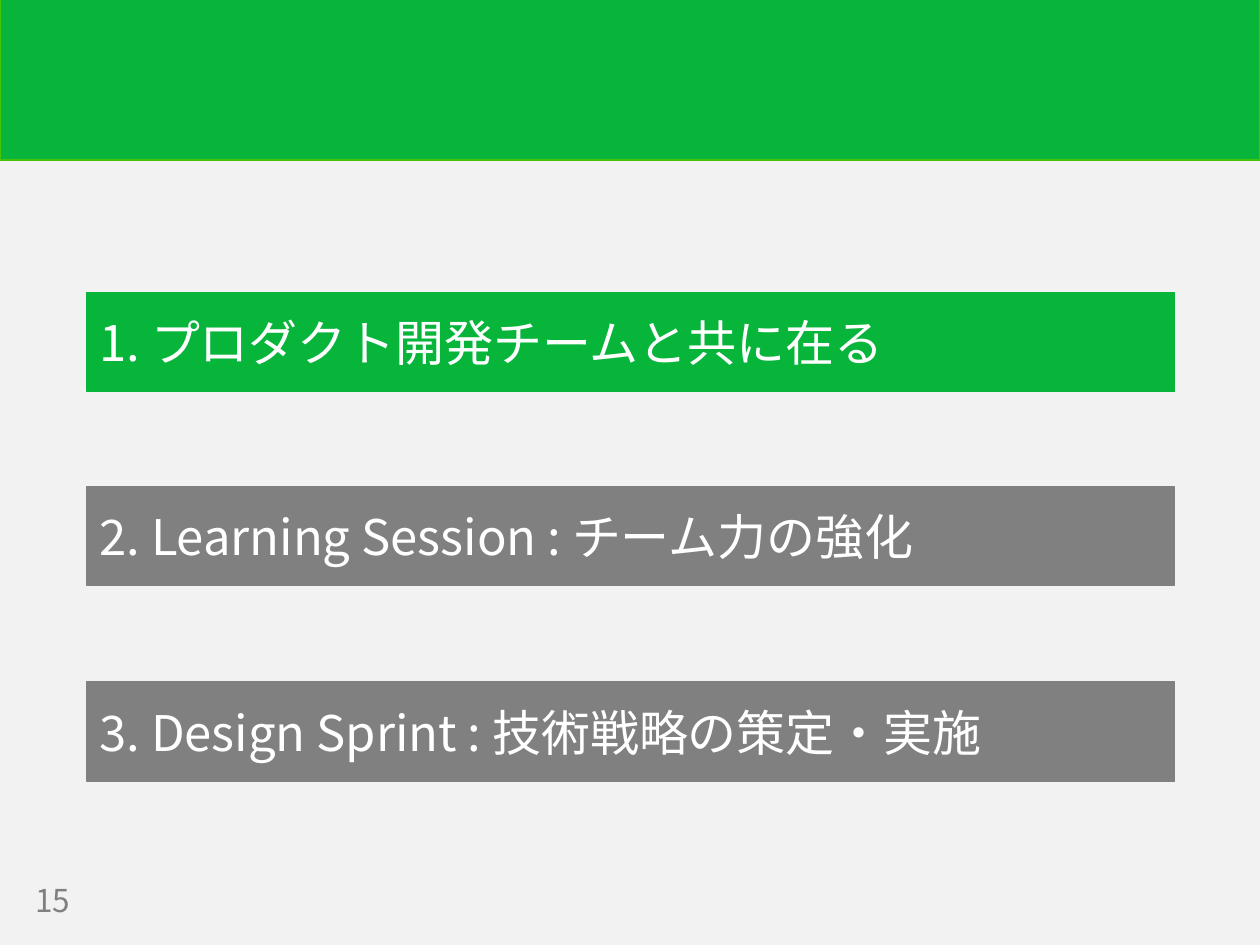
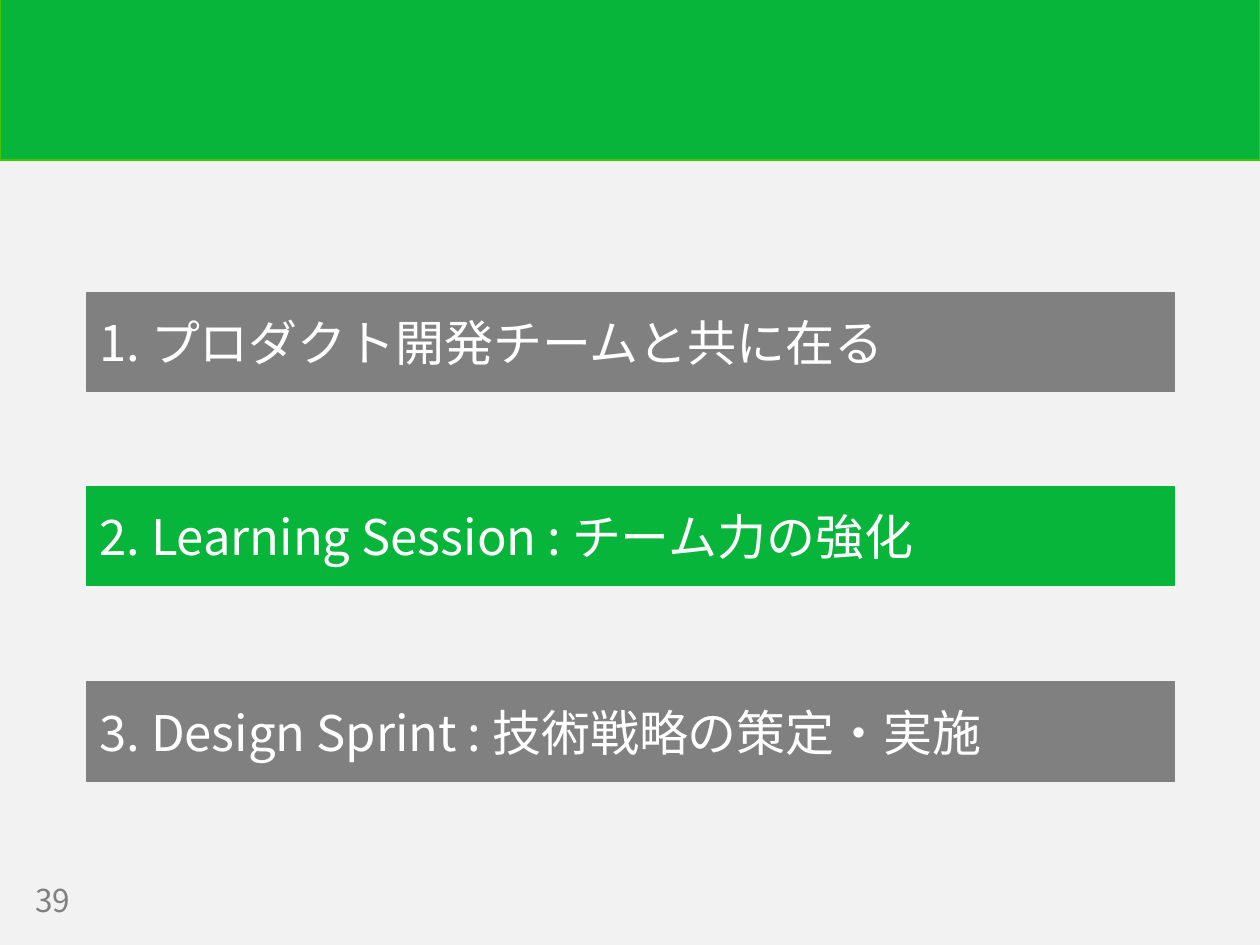
from pptx import Presentation
from pptx import util as u
from pptx.dml.color import RGBColor
from pptx.enum import shapes, text
from pptx.oxml import ns
from lxml import etree

PX = u.Inches(1) // 100
FONT = "Noto Sans CJK JP"
COLORS = {
    "back": "F2F2F2",
    "green": "07B53B",
    "edge": "44C404",
    "grey": "808080",
    "white": "FFFFFF",
}
TOPICS = [
    "1. プロダクト開発チームと共に在る",
    "2. Learning Session : チーム力の強化",
    "3. Design Sprint : 技術戦略の策定・実施",
]
TOPIC_TOPS = [232 + round(154.5 * i) for i in range(len(TOPICS))]
AGENDAS = [(15, 0), (39, 1)]


class Deck:
    """Holds the style and the current slide, and draws each kind of element."""

    def __init__(self):
        self.prs = Presentation()
        self.prs.slide_width, self.prs.slide_height = 1000 * PX, 750 * PX
        self.s = None

    def new_slide(self, number):
        self.s = self.prs.slides.add_slide(self.prs.slide_layouts[6])
        fill = self.s.background.fill
        fill.solid()
        fill.fore_color.rgb = self.color("back")
        self.bar(0, -1, 1000, 128, "green", "edge", 1)
        self.page_number(number)

    def color(self, name):
        return RGBColor.from_string(COLORS[name])

    def bar(self, x, y, w, h, fill, line, width=0.75):
        sp = self.s.shapes.add_shape(
            shapes.MSO_SHAPE.RECTANGLE, x * PX, y * PX, w * PX, h * PX)
        sp.shadow.inherit = False
        sp.fill.solid()
        sp.fill.fore_color.rgb = self.color(fill)
        sp.line.color.rgb = self.color(line)
        sp.line.width = u.Pt(width)
        return sp

    def label(self, sp, words, size, color):
        tf = sp.text_frame
        tf.word_wrap = True
        tf.vertical_anchor = text.MSO_ANCHOR.MIDDLE
        p = tf.paragraphs[0]
        p.alignment = text.PP_ALIGN.LEFT
        r = p.add_run()
        r.text = words
        r.font.size = u.Pt(size)
        r.font.color.rgb = self.color(color)
        r.font.name = FONT
        ea = etree.SubElement(r._r.get_or_add_rPr(), ns.qn("a:ea"))
        ea.set("typeface", FONT)

    def page_number(self, number):
        sp = self.s.shapes.add_textbox(18 * PX, 695 * PX, 79 * PX, 39 * PX)
        self.label(sp, str(number), 18, "grey")

    def topic(self, y, words, active):
        fill = "green" if active else "grey"
        sp = self.bar(69, y, 863, 79, fill, fill)
        self.label(sp, words, 28, "white")


def main():
    deck = Deck()
    for number, current in AGENDAS:
        deck.new_slide(number)
        for i, (y, words) in enumerate(zip(TOPIC_TOPS, TOPICS)):
            deck.topic(y, words, i == current)
    deck.prs.save("out.pptx")


if __name__ == "__main__":
    main()
